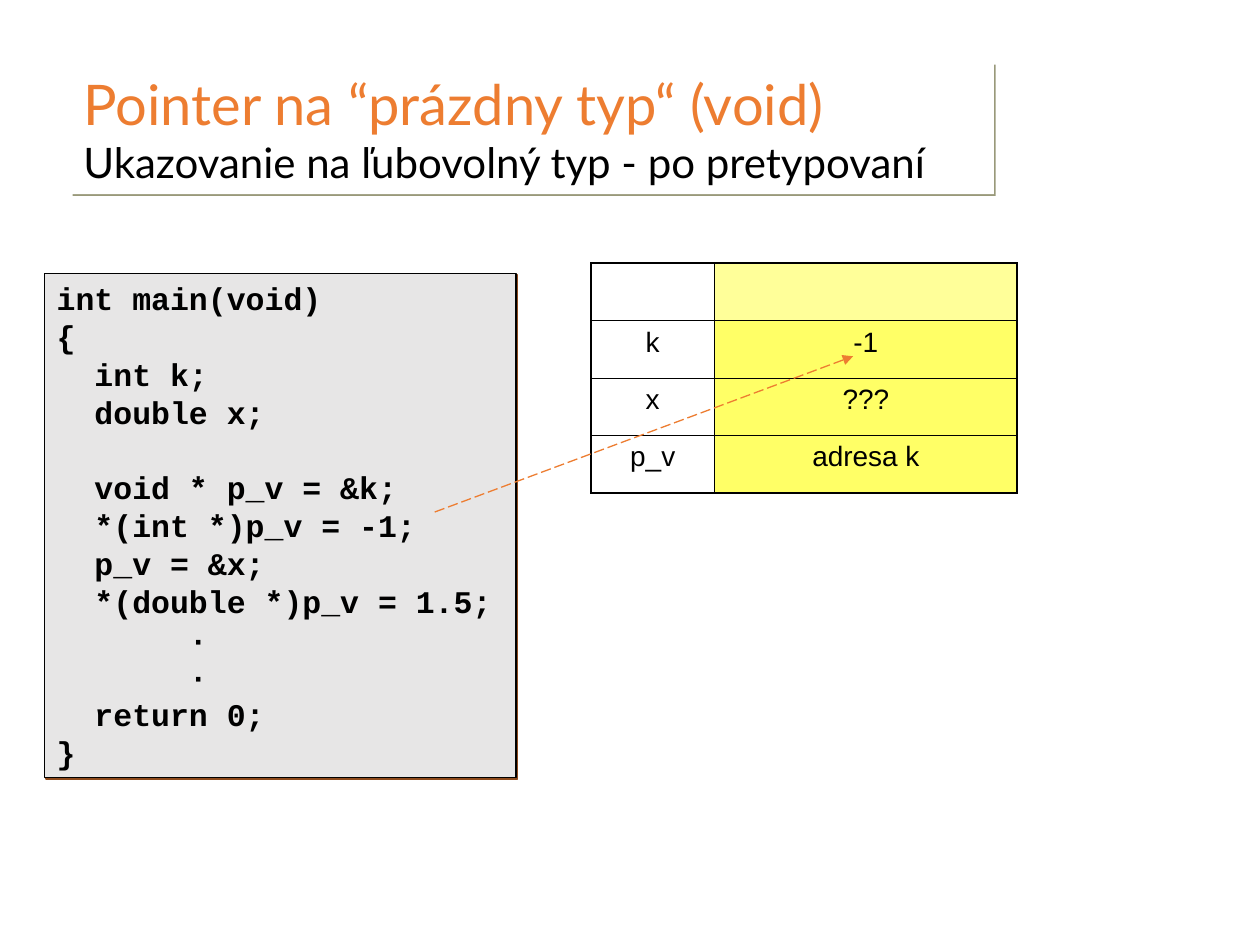
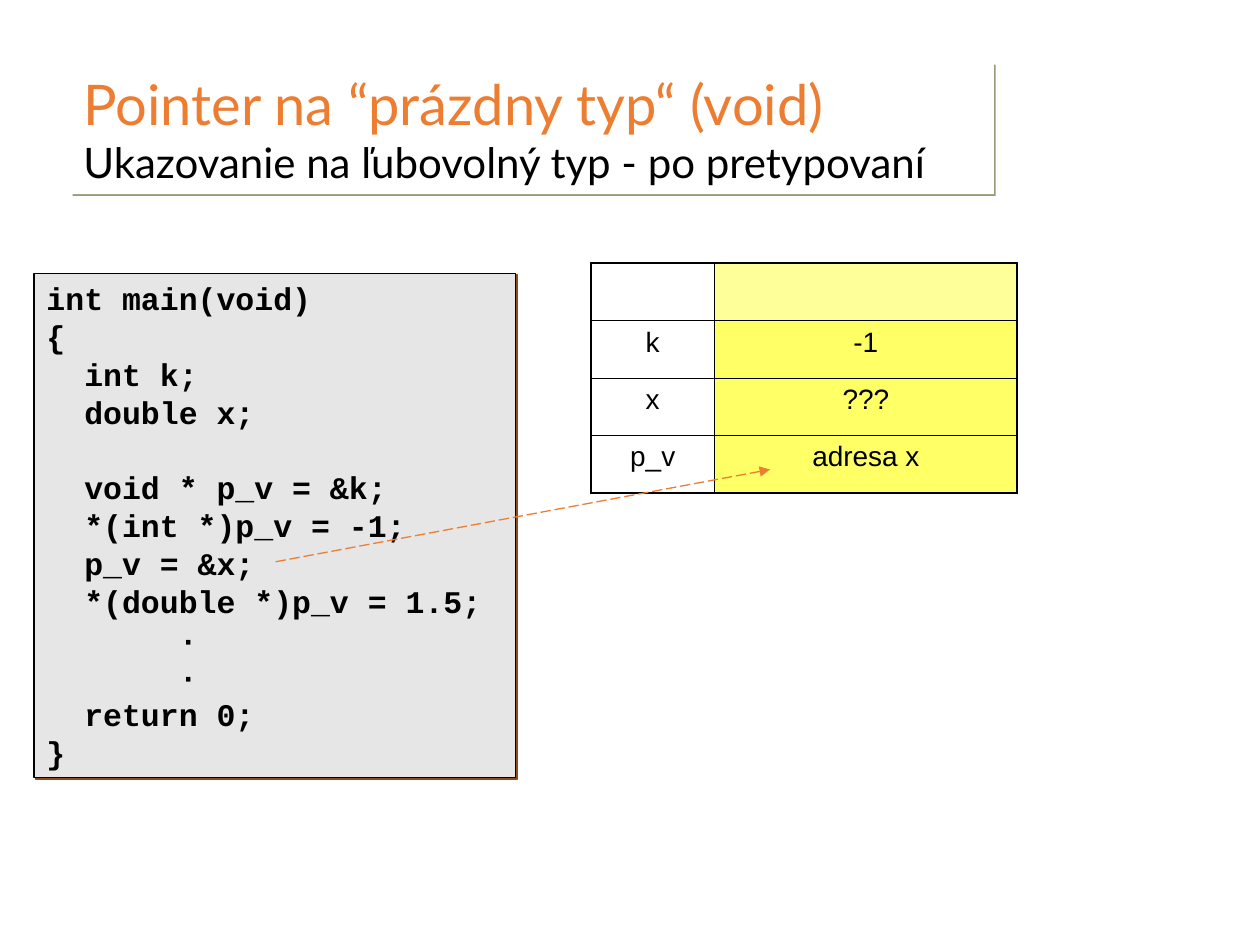
from lxml import etree
from pptx import Presentation
from pptx.dml.color import RGBColor
from pptx.enum.dml import MSO_LINE
from pptx.enum.shapes import MSO_CONNECTOR, MSO_SHAPE
from pptx.enum.text import MSO_ANCHOR, MSO_AUTO_SIZE, PP_ALIGN
from pptx.oxml.ns import qn
from pptx.util import Pt

RECTANGLE = MSO_SHAPE.RECTANGLE
STRAIGHT = MSO_CONNECTOR.STRAIGHT
LONG_DASH = MSO_LINE.LONG_DASH
TOP = MSO_ANCHOR.TOP
LEFT, CENTER = PP_ALIGN.LEFT, PP_ALIGN.CENTER
FIT_SHAPE = MSO_AUTO_SIZE.SHAPE_TO_FIT_TEXT

BLACK, WHITE, ACCENT = "000000", "FFFFFF", "ED7D31"
CODE_FILL, CODE_SHADOW, TITLE_SHADOW = "E7E6E6", "8E4B1D", "99997A"
HEADER_YELLOW, VALUE_YELLOW = "FFFF99", "FFFF66"
THICK, THIN = 1.08, 0.45

TITLE_BOX = (40.5, 36, 527.5, 75)
MEMORY_BOX = (337.7, 150.4, 243.6, 131.2)
CODE_TOP, CODE_RIGHT, CODE_HEIGHT = 156.2, 294.8, 288
NAME_COLUMN = 70.6

TITLE_LINES = [
    ("Pointer na “prázdny typ“ (void)", 32, ACCENT),
    ("Ukazovanie na ľubovolný typ - po pretypovaní", 24, BLACK),
]
CODE = """int main(void)
{
  int k;
  double x;

  void * p_v = &k;
  *(int *)p_v = -1;
  p_v = &x;
  *(double *)p_v = 1.5;
       ∙
       ∙
  return 0;
}"""


def color(value):
    return RGBColor.from_string(value)


def add_run(paragraph, text, size, font, ink=BLACK, bold=False):
    run = paragraph.add_run()
    run.text = text
    run.font.size = Pt(size)
    run.font.name = font
    run.font.bold = bold
    run.font.color.rgb = color(ink)


def add_panel(slide, box, fill, shadow):
    """Add a filled rectangle with a hard diagonal shadow."""
    panel = slide.shapes.add_shape(RECTANGLE, *map(Pt, box))
    panel.fill.solid()
    panel.fill.fore_color.rgb = color(fill)
    panel.line.fill.background()
    panel.shadow.inherit = False
    effects = panel.element.spPr.find(qn("a:effectLst"))
    outer = etree.SubElement(effects, qn("a:outerShdw"), blurRad="0",
                             dist=str(Pt(1.4)), dir="2700000", algn="ctr", rotWithShape="0")
    etree.SubElement(outer, qn("a:srgbClr"), val=shadow)
    panel.text_frame.vertical_anchor = TOP
    panel.text_frame.auto_size = FIT_SHAPE
    return panel


def paragraphs(frame, count):
    """Yield left-aligned paragraphs, starting with the one already there."""
    for index in range(count):
        paragraph = frame.add_paragraph() if index else frame.paragraphs[0]
        paragraph.alignment = LEFT
        yield paragraph


def add_title(slide, box):
    frame = add_panel(slide, box, WHITE, TITLE_SHADOW).text_frame
    frame.word_wrap = False
    for paragraph, (text, size, ink) in zip(paragraphs(frame, len(TITLE_LINES)), TITLE_LINES):
        add_run(paragraph, text, size, "Lato", ink)


def add_code(slide, box):
    panel = add_panel(slide, box, CODE_FILL, CODE_SHADOW)
    panel.line.color.rgb = color(BLACK)
    panel.line.width = Pt(0.75)
    panel.text_frame.word_wrap = True
    lines = CODE.splitlines()
    for paragraph, line in zip(paragraphs(panel.text_frame, len(lines)), lines):
        paragraph.line_spacing = Pt(21.6)
        paragraph.font.size = Pt(18)
        if line:
            add_run(paragraph, line, 18, "Courier New", bold=True)


def set_borders(cell, widths):
    properties = cell._tc.get_or_add_tcPr()
    for index, (side, width) in enumerate(zip("LRTB", widths)):
        border = etree.Element(qn(f"a:ln{side}"), w=str(Pt(width)))
        fill = etree.SubElement(border, qn("a:solidFill"))
        etree.SubElement(fill, qn("a:srgbClr"), val=BLACK)
        properties.insert(index, border)


def add_memory_table(slide, box, variables):
    """Draw variable names beside their values, under an empty header row."""
    rows = [("", ""), *variables]
    table = slide.shapes.add_table(len(rows), 2, *map(Pt, box)).table
    table.first_row = table.horz_banding = False
    table.columns[0].width = Pt(NAME_COLUMN)
    table.columns[1].width = Pt(box[2] - NAME_COLUMN)
    last = len(rows) - 1
    for r, row in enumerate(rows):
        table.rows[r].height = Pt(box[3] / len(rows))
        for c, text in enumerate(row):
            cell = table.cell(r, c)
            if c == 0:
                cell.fill.background()
            else:
                cell.fill.solid()
                cell.fill.fore_color.rgb = color(VALUE_YELLOW if r else HEADER_YELLOW)
            outer_edges = (c == 0, c == 1, r == 0, r == last)
            set_borders(cell, [THICK if edge else THIN for edge in outer_edges])
            if text:
                paragraph = cell.text_frame.paragraphs[0]
                paragraph.alignment = CENTER
                add_run(paragraph, text, 16, "Arial")


def add_effect_arrow(slide, start, end):
    """Point from a statement to the memory cell it changes."""
    arrow = slide.shapes.add_connector(STRAIGHT, *map(Pt, start + end))
    arrow.line.color.rgb = color(ACCENT)
    arrow.line.width = Pt(0.75)
    arrow.line.dash_style = LONG_DASH
    etree.SubElement(arrow.line._get_or_add_ln(), qn("a:tailEnd"), type="triangle")
    etree.SubElement(arrow.element.spPr, qn("a:effectLst"))


def add_step_slide(deck, code_left, pointer_value, arrow_start, arrow_end):
    slide = deck.slides.add_slide(deck.slide_layouts[6])
    add_title(slide, TITLE_BOX)
    add_code(slide, (code_left, CODE_TOP, CODE_RIGHT - code_left, CODE_HEIGHT))
    variables = [("k", "-1"), ("x", "???"), ("p_v", pointer_value)]
    add_memory_table(slide, MEMORY_BOX, variables)
    add_effect_arrow(slide, arrow_start, arrow_end)


def main():
    deck = Presentation()
    deck.slide_width, deck.slide_height = Pt(720), Pt(540)
    add_step_slide(deck, 25.3, "adresa k", (248.4, 292.6), (487.5, 203.6))
    add_step_slide(deck, 19.5, "adresa x", (157.5, 321), (440, 268.3))
    deck.save("out.pptx")


if __name__ == "__main__":
    main()
